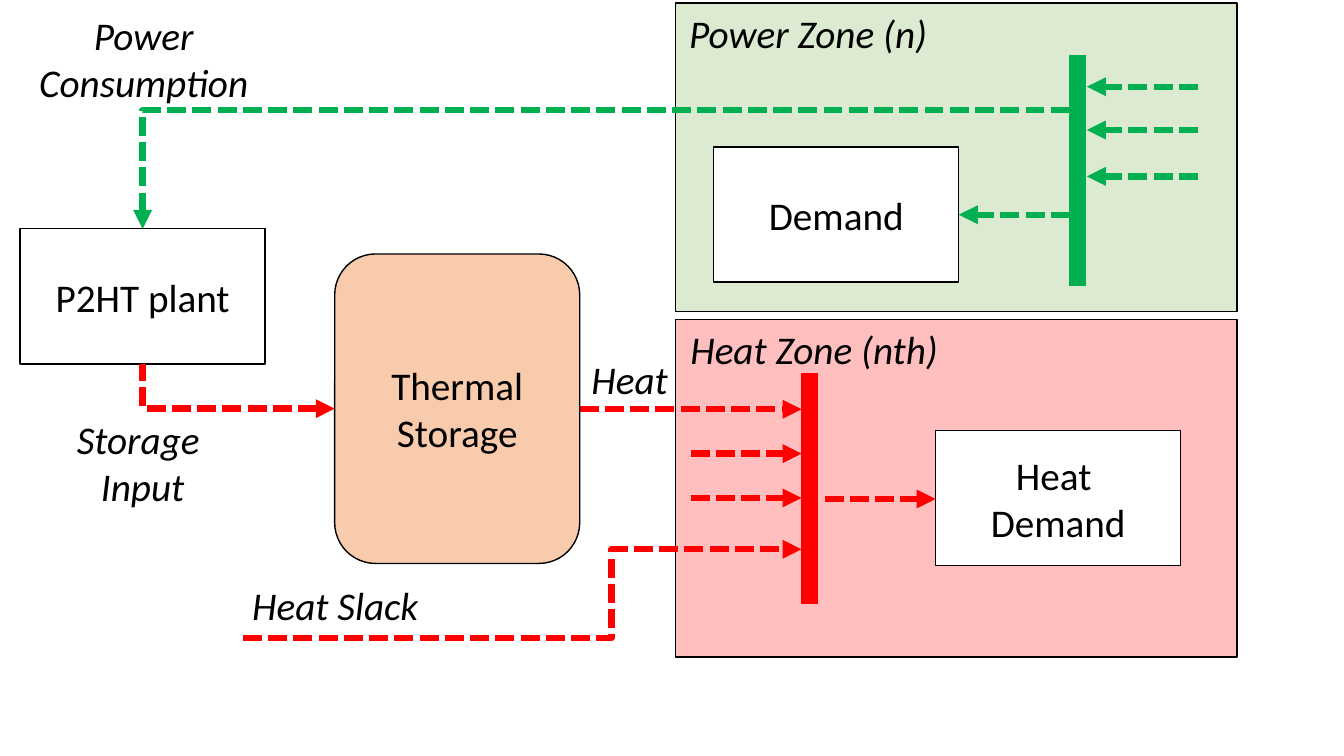
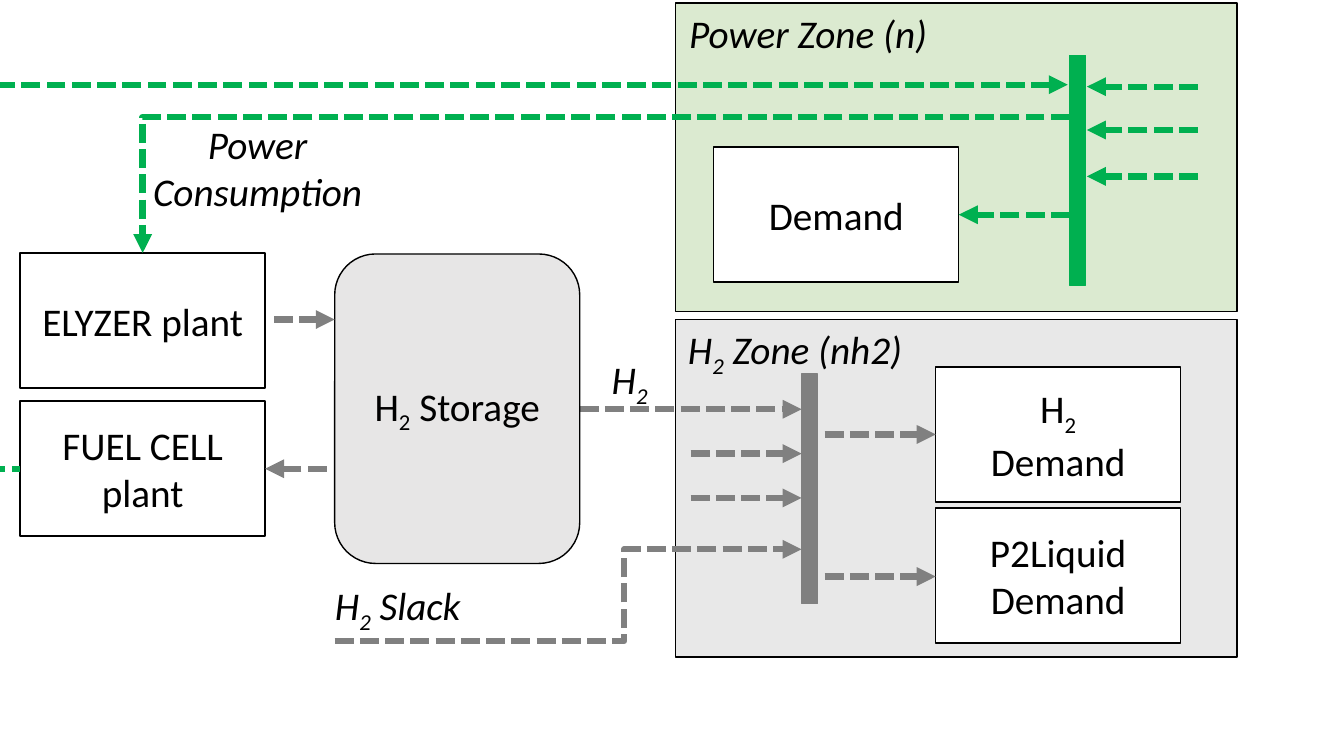
"""Build two energy flow diagrams: power to heat and power to hydrogen."""
from dataclasses import dataclass
from typing import Optional

import pptx
import pptx.dml.color
import pptx.enum.dml
import pptx.enum.shapes
import pptx.enum.text
import pptx.oxml.ns
import pptx.oxml.xmlchemy
import pptx.shapes.autoshape
import pptx.shapes.connector
import pptx.slide
import pptx.text.text
import pptx.util
from pptx.dml.color import RGBColor
from pptx.util import Inches

BLACK = RGBColor(0x00, 0x00, 0x00)
WHITE = RGBColor(0xFF, 0xFF, 0xFF)
GREEN = RGBColor(0x00, 0xB0, 0x50)
LEAF = RGBColor(0x70, 0xAD, 0x47)
RED = RGBColor(0xFF, 0x00, 0x00)
PEACH = RGBColor(0xF8, 0xCB, 0xAD)
GRAY = RGBColor(0x80, 0x80, 0x80)
SILVER = RGBColor(0xA6, 0xA6, 0xA6)
PALE = RGBColor(0xE7, 0xE6, 0xE6)

FONT = "Calibri"
SIZE = pptx.util.Pt(28)
ZONE_LEFT, ZONE_WIDTH = 6.7, 5.57
BOX_WIDTH, BOX_HEIGHT = 2.43, 1.34
BAR_WIDTH, BAR_HEIGHT = 0.16, 2.28
PLANT_LEFT, STORE_LEFT, NEED_LEFT = 0.2, 3.32, 9.28
STORE_RIGHT = STORE_LEFT + BOX_WIDTH
POWER_BAR, HEAT_BAR = 10.61, 7.95
ARROW = 1.1
TOP, LEFT, BOTTOM = 0, 1, 2

Shape = pptx.shapes.autoshape.Shape
Slide = pptx.slide.Slide
Link = pptx.shapes.connector.Connector


@dataclass
class Box:
    """A filled shape, with text in the middle."""
    left: float
    top: float
    text: str = ""
    width: float = BOX_WIDTH
    height: float = BOX_HEIGHT
    fill: RGBColor = WHITE
    line: RGBColor = BLACK
    alpha: Optional[int] = None
    round: bool = False


@dataclass
class Label:
    """A text in italics without a frame."""
    left: float
    top: float
    width: float
    text: str
    height: float = 0.57


@dataclass
class Flow:
    """A dashed arrow; bend is the share of the width where it turns."""
    x1: float
    y1: float
    x2: float
    y2: float
    color: RGBColor
    elbow: str = ""
    bend: Optional[float] = None
    end: str = "a:tailEnd"


def write_line(para: pptx.text.text._Paragraph, text: str, italic: bool) -> None:
    """Write one line, lowering each character that follows an underscore."""
    first, *rest = text.split("_")
    para.text = first
    for part in rest:
        low = para.add_run()
        low.text = part[0]
        low._r.get_or_add_rPr().set("baseline", "-25000")
        if part[1:]:
            para.add_run().text = part[1:]
    para.alignment = pptx.enum.text.PP_ALIGN.CENTER
    for run in para.runs:
        run.font.name = FONT
        run.font.size = SIZE
        run.font.italic = italic
        run.font.color.rgb = BLACK


def write(frame: pptx.text.text.TextFrame, text: str, italic: bool = False) -> None:
    """Fill a frame with centred lines."""
    frame.word_wrap = True
    for row, line in enumerate(text.split("\n")):
        para = frame.add_paragraph() if row else frame.paragraphs[0]
        write_line(para, line, italic)


def add_box(slide: Slide, box: Box) -> Shape:
    """Draw a box and return its shape."""
    kinds = pptx.enum.shapes.MSO_SHAPE
    shape = slide.shapes.add_shape(
        kinds.ROUNDED_RECTANGLE if box.round else kinds.RECTANGLE,
        Inches(box.left), Inches(box.top), Inches(box.width), Inches(box.height))
    shape.shadow.inherit = False
    shape.fill.solid()
    shape.fill.fore_color.rgb = box.fill
    if box.alpha is not None:
        color = next(shape.element.spPr.iter(pptx.oxml.ns.qn("a:srgbClr")))
        alpha = pptx.oxml.xmlchemy.OxmlElement("a:alpha")
        alpha.set("val", str(box.alpha * 1000))
        color.append(alpha)
    shape.line.color.rgb = box.line
    shape.line.width = pptx.util.Pt(1)
    if box.text:
        shape.text_frame.vertical_anchor = pptx.enum.text.MSO_ANCHOR.MIDDLE
        write(shape.text_frame, box.text)
    return shape


def add_label(slide: Slide, label: Label) -> None:
    """Draw a label."""
    shape = slide.shapes.add_textbox(
        Inches(label.left), Inches(label.top), Inches(label.width), Inches(label.height))
    write(shape.text_frame, label.text, italic=True)


def add_flow(slide: Slide, flow: Flow) -> Link:
    """Draw a straight or bent arrow and return it."""
    kinds = pptx.enum.shapes.MSO_CONNECTOR
    link = slide.shapes.add_connector(
        kinds.ELBOW if flow.elbow else kinds.STRAIGHT,
        Inches(flow.x1), Inches(flow.y1), Inches(flow.x2), Inches(flow.y2))
    link.line.color.rgb = flow.color
    link.line.width = pptx.util.Pt(4.5)
    link.line.dash_style = pptx.enum.dml.MSO_LINE.SQUARE_DOT
    make = pptx.oxml.xmlchemy.OxmlElement
    tip = make(flow.end)
    tip.set("type", "triangle")
    link.line._get_or_add_ln().append(tip)
    props = link.element.spPr
    props.append(make("a:effectLst"))
    if flow.elbow:
        form = props.find(pptx.oxml.ns.qn("a:prstGeom"))
        form.set("prst", flow.elbow)
        if flow.bend is not None:
            guide = make("a:gd")
            guide.set("name", "adj1")
            guide.set("fmla", f"val {round(flow.bend * 100000)}")
            form.get_or_add_avLst().append(guide)
    return link


def add_power(slide: Slide, plant: Shape, draw_y: float) -> None:
    """Draw the power zone and the line that feeds the plant."""
    add_box(slide, Box(ZONE_LEFT, 0.03, width=ZONE_WIDTH, height=3.06, fill=LEAF, alpha=25))
    add_box(slide, Box(7.08, 1.46, "Demand"))
    add_box(slide, Box(POWER_BAR, 0.55, width=BAR_WIDTH, height=BAR_HEIGHT,
                       fill=GREEN, line=GREEN))
    add_label(slide, Label(6.71, 0.04, 2.61, "Power Zone (n)"))
    right = POWER_BAR + BAR_WIDTH + 0.01
    for y in (0.86, 1.29, 1.75):
        add_flow(slide, Flow(right + ARROW, y, right, y, GREEN))
    add_flow(slide, Flow(POWER_BAR, 2.13, POWER_BAR - ARROW, 2.13, GREEN))
    top = plant.top / Inches(1)
    mid = PLANT_LEFT + BOX_WIDTH / 2
    draw = add_flow(slide, Flow(POWER_BAR, draw_y, mid, top, GREEN, "bentConnector2"))
    draw.end_connect(plant, TOP)


def add_store(slide: Slide, text: str, fill: RGBColor) -> Shape:
    """Draw the storage and return its shape."""
    return add_box(slide, Box(STORE_LEFT, 2.52, text, height=3.07, fill=fill, round=True))


def add_sink(slide: Slide, fill: RGBColor, color: RGBColor, slack: Flow,
             needs: dict[float, Box]) -> None:
    """Draw the lower zone with its bar, flows in and demands."""
    add_box(slide, Box(ZONE_LEFT, 3.17, width=ZONE_WIDTH, height=3.35, fill=fill, alpha=25))
    add_box(slide, Box(HEAT_BAR, 3.71, width=BAR_WIDTH, height=BAR_HEIGHT,
                       fill=color, line=color))
    add_flow(slide, Flow(STORE_RIGHT, 4.06, HEAT_BAR, 4.06, color))
    for y in (4.5, 4.94):
        add_flow(slide, Flow(HEAT_BAR - ARROW, y, HEAT_BAR, y, color))
    add_flow(slide, slack)
    for y, need in needs.items():
        add_box(slide, need)
        add_flow(slide, Flow(NEED_LEFT - ARROW, y, NEED_LEFT, y, color))


def draw_heat(slide: Slide) -> None:
    """Draw the power to heat slide."""
    plant = add_box(slide, Box(PLANT_LEFT, 2.27, "P2HT plant"))
    add_power(slide, plant, 1.09)
    slack = Flow(2.41, 6.33, HEAT_BAR, 5.45, RED, "bentConnector3", 0.66)
    add_sink(slide, fill=RED, color=RED, slack=slack,
             needs={4.95: Box(NEED_LEFT, 4.27, "Heat \nDemand")})
    store = add_store(slide, "Thermal Storage", PEACH)
    feed = add_flow(slide, Flow(STORE_LEFT, 4.06, PLANT_LEFT + BOX_WIDTH / 2, 3.61, RED,
                                "bentConnector2", end="a:headEnd"))
    feed.begin_connect(store, LEFT)
    feed.end_connect(plant, BOTTOM)
    for label in (
        Label(0.24, 0.06, 2.37, "Power Consumption", 1.04),
        Label(0.28, 4.07, 2.27, "Storage \nInput", 1.04),
        Label(1.64, 5.72, 3.37, "Heat Slack"),
        Label(6.71, 3.18, 2.73, "Heat Zone (nth)"),
        Label(5.31, 3.48, 1.87, "Heat"),
    ):
        add_label(slide, label)


def draw_gas(slide: Slide) -> None:
    """Draw the power to hydrogen slide."""
    plant = add_box(slide, Box(PLANT_LEFT, 2.51, "ELYZER plant"))
    cell = add_box(slide, Box(PLANT_LEFT, 3.98, "FUEL CELL plant"))
    add_power(slide, plant, 1.16)
    slack = Flow(STORE_LEFT, 6.36, HEAT_BAR, 5.45, GRAY, "bentConnector3", 0.62)
    add_sink(slide, fill=SILVER, color=GRAY, slack=slack,
             needs={4.31: Box(NEED_LEFT, 3.64, "H_2\nDemand"),
                    5.72: Box(NEED_LEFT, 5.04, "P2Liquid\nDemand")})
    add_store(slide, "H_2 Storage", PALE)
    add_flow(slide, Flow(2.72, 3.17, STORE_LEFT, 3.17, GRAY))
    add_flow(slide, Flow(3.24, 4.65, PLANT_LEFT + BOX_WIDTH, 4.65, GRAY))
    back = add_flow(slide, Flow(10.59, 0.84, PLANT_LEFT, 4.65, GREEN,
                                "bentConnector3", 1.04, "a:headEnd"))
    back.end_connect(cell, LEFT)
    for label in (
        Label(1.37, 1.14, 2.37, "Power Consumption", 1.04),
        Label(2.26, 5.72, 3.37, "H_2 Slack"),
        Label(6.52, 3.18, 2.73, "H_2 Zone (nh2)"),
        Label(5.31, 3.48, 1.87, "H_2"),
    ):
        add_label(slide, label)


def main() -> None:
    """Build and save the deck."""
    deck = pptx.Presentation()
    deck.slide_width = Inches(13.33)
    deck.slide_height = Inches(7.5)
    for draw in (draw_heat, draw_gas):
        draw(deck.slides.add_slide(deck.slide_layouts[6]))
    deck.save("out.pptx")


if __name__ == "__main__":
    main()
